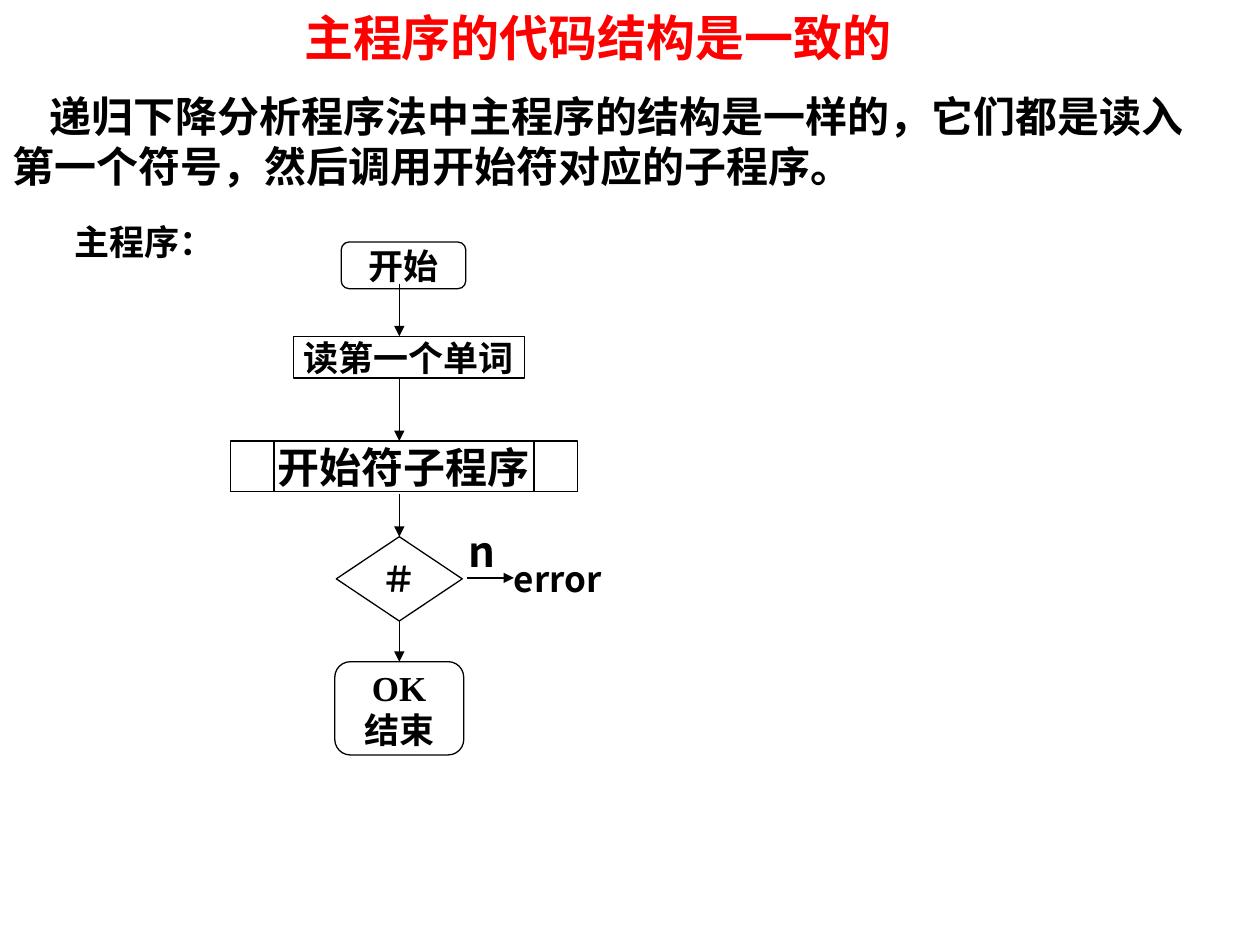
from dataclasses import dataclass

from lxml import etree
from pptx import Presentation
from pptx.dml.color import RGBColor
from pptx.enum.shapes import MSO_CONNECTOR, MSO_SHAPE
from pptx.enum.text import MSO_ANCHOR, PP_ALIGN
from pptx.oxml.ns import qn
from pptx.util import Cm, Pt

TERMINAL = MSO_SHAPE.FLOWCHART_ALTERNATE_PROCESS
PROCESS = MSO_SHAPE.FLOWCHART_PROCESS
SUBROUTINE = MSO_SHAPE.FLOWCHART_PREDEFINED_PROCESS
DECISION = MSO_SHAPE.FLOWCHART_DECISION
STRAIGHT = MSO_CONNECTOR.STRAIGHT
TOP, MIDDLE = MSO_ANCHOR.TOP, MSO_ANCHOR.MIDDLE
LEFT, CENTER = PP_ALIGN.LEFT, PP_ALIGN.CENTER
SIDE_TOP, SIDE_LEFT, SIDE_BOTTOM = 0, 1, 2


@dataclass(frozen=True)
class Theme:
    ink: RGBColor = RGBColor(0, 0, 0)
    accent: RGBColor = RGBColor(255, 0, 0)
    sans: str = "Noto Sans CJK SC"
    serif: str = "Times New Roman"
    title_size: int = 28
    body_size: int = 24
    step_size: int = 20
    line_width: float = 0.75
    line_spacing: float = 1.2


class SlideBuilder:
    def __init__(self, slide, theme):
        self.slide = slide
        self.theme = theme

    def add_lines(self, shape, lines, size, font, color, align, anchor):
        """Fill a shape with bold text, one paragraph for each line."""
        frame = shape.text_frame
        frame.vertical_anchor = anchor
        for index, line in enumerate(lines):
            para = frame.paragraphs[0] if index == 0 else frame.add_paragraph()
            para.alignment = align
            if anchor == TOP or len(lines) > 1:
                para.line_spacing = Pt(size * self.theme.line_spacing)
            span = para.add_run()
            span.text = line
            span.font.size = Pt(size)
            span.font.bold = True
            span.font.name = font
            span.font.color.rgb = color
            east_asian = etree.SubElement(span.font._element, qn("a:ea"))
            east_asian.set("typeface", self.theme.sans)

    def remove_margins(self, shape):
        frame = shape.text_frame
        frame.margin_left = frame.margin_right = 0
        frame.margin_top = frame.margin_bottom = 0

    def text_box(self, bounds, text, size, font, color=None, align=LEFT, anchor=TOP):
        box = self.slide.shapes.add_textbox(*map(Cm, bounds))
        box.text_frame.word_wrap = True
        self.add_lines(box, [text], size, font, color or self.theme.ink, align, anchor)
        return box

    def label(self, bounds, text, size, font):
        """Add a one-line text box without margins."""
        box = self.text_box(bounds, text, size, font)
        box.text_frame.word_wrap = False
        self.remove_margins(box)
        return box

    def step(self, kind, bounds, lines, size, font):
        """Add an outlined flowchart symbol."""
        shape = self.slide.shapes.add_shape(kind, *map(Cm, bounds))
        shape.shadow.inherit = False
        shape.fill.background()
        shape.line.color.rgb = self.theme.ink
        shape.line.width = Pt(self.theme.line_width)
        shape.text_frame.word_wrap = True
        self.remove_margins(shape)
        self.add_lines(shape, lines, size, font, self.theme.ink, CENTER, MIDDLE)
        return shape

    def arrow(self, start, end, source=None, target=None):
        """Draw an arrow; source and target are (shape, side) pairs to join."""
        line = self.slide.shapes.add_connector(STRAIGHT, *map(Cm, start + end))
        if source:
            line.begin_connect(*source)
        if target:
            line.end_connect(*target)
        line.line.color.rgb = self.theme.ink
        line.line.width = Pt(self.theme.line_width)
        etree.SubElement(line.line._get_or_add_ln(), qn("a:tailEnd"), type="triangle")
        etree.SubElement(line._element.spPr, qn("a:effectLst"))


def main():
    deck = Presentation()
    deck.slide_width, deck.slide_height = Cm(25.4), Cm(19.05)
    theme = Theme()
    page = SlideBuilder(deck.slides.add_slide(deck.slide_layouts[6]), theme)
    small, large = theme.step_size, theme.body_size
    sans, serif = theme.sans, theme.serif

    page.text_box((1.47, 0, 21.16, 1.47), "主程序的代码结构是一致的",
                  theme.title_size, serif, theme.accent, CENTER, MIDDLE)
    body = page.text_box(
        (0, 1.7, 24.13, 2.34),
        "递归下降分析程序法中主程序的结构是一样的，它们都是读入"
        "第一个符号，然后调用开始符对应的子程序。", large, sans)
    body.text_frame.paragraphs[0]._p.get_or_add_pPr().set("indent", str(Cm(0.75)))
    page.label((1.5, 4.45, 2.82, 0.84), "主程序：", small, serif)

    page.step(TERMINAL, (6.88, 4.88, 2.51, 0.94), ["开始"], small, serif)
    page.step(PROCESS, (5.92, 6.78, 4.65, 0.84), ["读第一个单词"], small, sans)
    page.step(SUBROUTINE, (4.65, 8.89, 6.99, 1.02), ["开始符子程序"], large, sans)
    check = page.step(DECISION, (6.78, 10.82, 2.54, 1.7), ["＃"], small, sans)
    finish = page.step(TERMINAL, (6.75, 13.34, 2.6, 1.88), ["OK", "结束"], small, serif)
    error = page.label((10.36, 11.23, 1.83, 0.84), "error", small, sans)
    page.label((9.45, 10.59, 0.56, 1.02), "n", large, sans)

    spine = 8.05
    page.arrow((spine, 5.72), (spine, 6.78))
    page.arrow((spine, 7.62), (spine, 8.89))
    page.arrow((spine, 9.96), (spine, 10.82), target=(check, SIDE_TOP))
    page.arrow((spine, 12.52), (spine, 13.34), (check, SIDE_BOTTOM), (finish, SIDE_TOP))
    page.arrow((9.42, 11.65), (10.36, 11.65), target=(error, SIDE_LEFT))

    deck.save("out.pptx")


if __name__ == "__main__":
    main()
